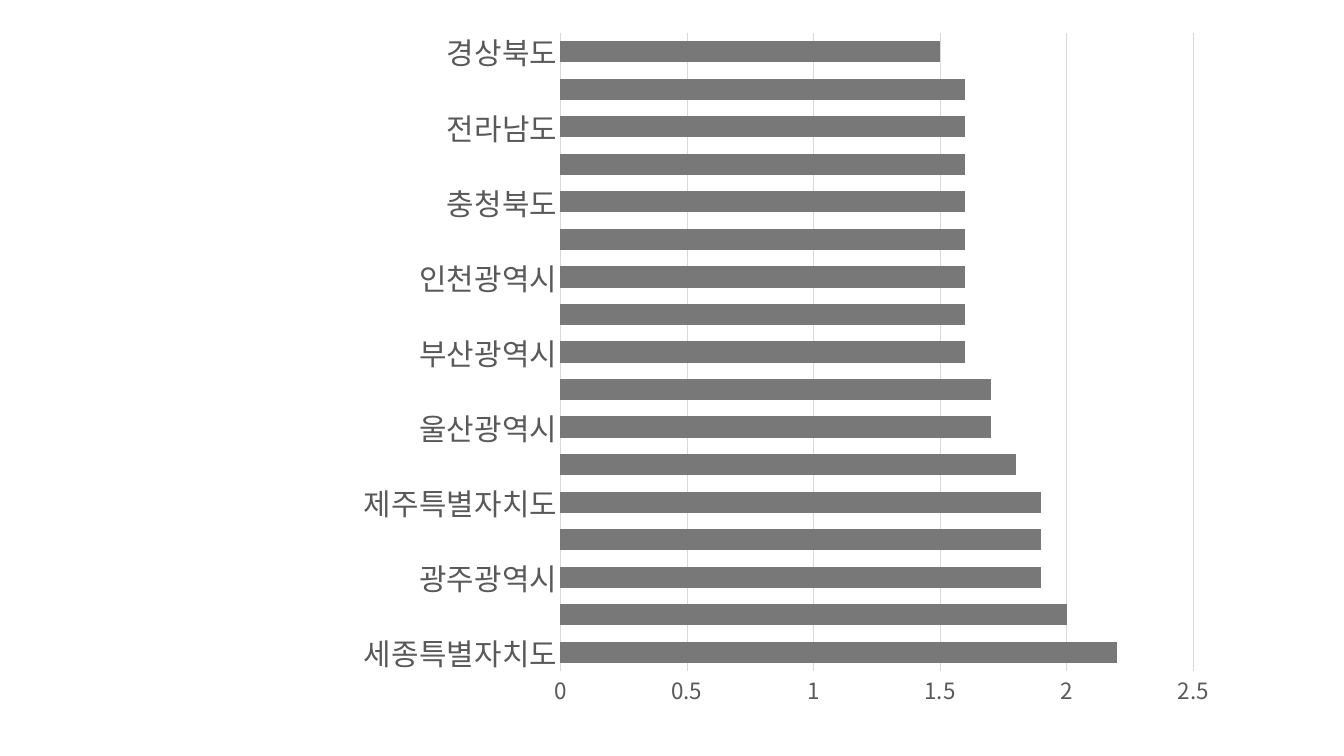
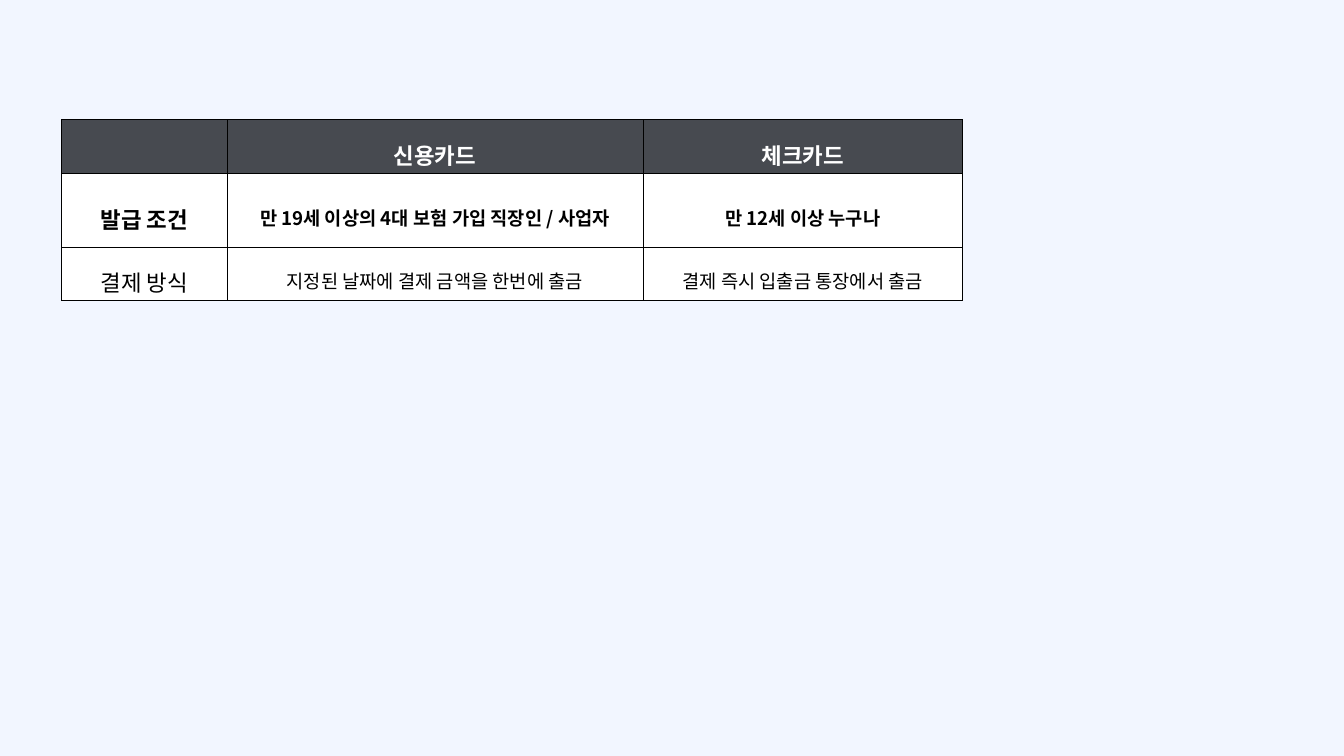
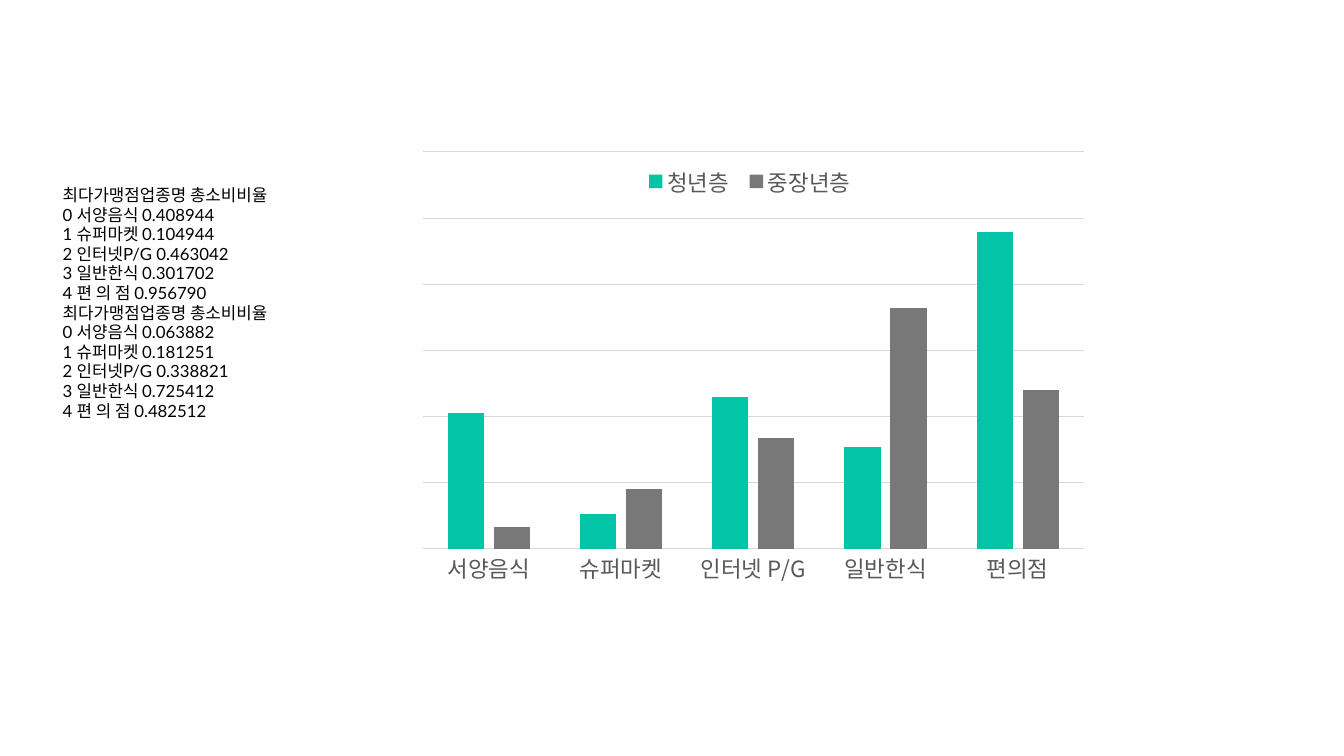
from lxml.etree import SubElement
from pptx import Presentation
from pptx.chart.data import CategoryChartData
from pptx.dml.color import RGBColor
from pptx.enum.chart import XL_CHART_TYPE as Kind, XL_LEGEND_POSITION as Legend, XL_TICK_MARK as Tick
from pptx.enum.text import MSO_ANCHOR, MSO_AUTO_SIZE, PP_ALIGN
from pptx.oxml import parse_xml
from pptx.oxml.ns import nsdecls, qn
from pptx.util import Pt

COLORS = {
    "white": "FFFFFF", "black": "000000", "pale": "F2F6FF", "header": "474A50",
    "label": "595959", "grid": "D9D9D9", "gray": "787878", "teal": "02C4A6",
}
CJK = "Noto Sans CJK KR"


def rgb(name):
    return RGBColor.from_string(COLORS[name])


def manual_layout(x, y, w, h, inner=False):
    target = '<c:layoutTarget val="inner"/>' if inner else ""
    sizes = "".join(f'<c:{key} val="{val}"/>' for key, val in zip("xywh", (x, y, w, h)))
    return parse_xml(
        f'<c:layout {nsdecls("c")}><c:manualLayout>{target}'
        f'<c:xMode val="edge"/><c:yMode val="edge"/>{sizes}'
        "</c:manualLayout></c:layout>")


class Deck:
    """Holds the shared style and the current slide."""

    def __init__(self):
        self.prs = Presentation()
        self.prs.slide_width, self.prs.slide_height = Pt(1440), Pt(810)

    def slide(self, background="white"):
        self.s = self.prs.slides.add_slide(self.prs.slide_layouts[6])
        fill = self.s.background.fill
        fill.solid()
        fill.fore_color.rgb = rgb(background)

    def style(self, font, size, color="black", bold=None, name=CJK):
        font.name, font.size, font.bold = name, Pt(size), bold
        font.color.rgb = rgb(color)

    def style_runs(self, p, *args, **kwargs):
        """Style the runs, with the Korean font for Korean text."""
        for r in p.runs:
            self.style(r.font, *args, **kwargs)
            SubElement(r._r.get_or_add_rPr(), qn("a:ea"), typeface=CJK)

    def grid_line(self, line):
        line.color.rgb = rgb("grid")
        line.width = Pt(0.75)

    def chart(self, kind, box, cats, series, label_size, top, step, gap, overlap=0):
        """Bar chart; series is a list of (name, values, color)."""
        data = CategoryChartData()
        data.categories = cats
        for name, values, _ in series:
            data.add_series(name, values)
        chart = self.s.shapes.add_chart(kind, *map(Pt, box), data).chart
        chart.has_title = chart.has_legend = False
        self.style(chart.font, 10, name="Calibri")

        plot = chart.plots[0]
        plot.gap_width, plot.overlap, plot.vary_by_categories = gap, overlap, False
        for ser, (_, _, color) in zip(plot.series, series):
            ser.format.fill.solid()
            ser.format.fill.fore_color.rgb = rgb(color)

        cat, val = chart.category_axis, chart.value_axis
        for axis in (cat, val):
            axis.major_tick_mark = axis.minor_tick_mark = Tick.NONE
        self.style(cat.tick_labels.font, label_size, "label")
        self.grid_line(cat.format.line)
        val.minimum_scale, val.maximum_scale, val.major_unit = 0, top, step
        val.has_major_gridlines = True
        self.grid_line(val.major_gridlines.format.line)
        self.style(val.tick_labels.font, 24, "label")
        val.format.line.fill.background()
        return chart

    def place_plot(self, chart, *area):
        plot_area = chart._chartSpace.chart.plotArea
        for old in plot_area.findall(qn("c:layout")):
            plot_area.remove(old)
        plot_area.insert(0, manual_layout(*area, inner=True))

    def legend(self, chart, *area):
        chart.has_legend = True
        legend = chart.legend
        legend.position, legend.include_in_layout = Legend.TOP, True
        self.style(legend.font, 24, "label")
        for old in legend._element.findall(qn("c:layout")):
            legend._element.remove(old)
        legend._element.find(qn("c:legendPos")).addnext(manual_layout(*area))

    def border(self, cell):
        props = cell._tc.get_or_add_tcPr()
        for side in ("lnL", "lnR", "lnT", "lnB"):
            ln = SubElement(props, qn(f"a:{side}"), w=str(Pt(0.6)))
            SubElement(SubElement(ln, qn("a:solidFill")), qn("a:srgbClr"), val=COLORS["black"])

    def cell(self, cell, text, fill, size, color, bold):
        cell.margin_left = cell.margin_right = Pt(5)
        cell.margin_top = cell.margin_bottom = Pt(2.5)
        cell.vertical_anchor = MSO_ANCHOR.MIDDLE
        self.border(cell)
        cell.fill.solid()
        cell.fill.fore_color.rgb = rgb(fill)
        p = cell.text_frame.paragraphs[0]
        p.text = text
        p.alignment, p.line_spacing = PP_ALIGN.CENTER, 1.5
        self.style_runs(p, size, color, bold)

    def table(self, left, top, widths, heights, rows):
        """Table with a dark header row and a bold first body row."""
        table = self.s.shapes.add_table(
            len(rows), len(widths), Pt(left), Pt(top), Pt(sum(widths)), Pt(sum(heights))).table
        table.first_row = table.horz_banding = False
        for col, width in zip(table.columns, widths):
            col.width = Pt(width)
        for i, (height, texts) in enumerate(zip(heights, rows)):
            table.rows[i].height = Pt(height)
            fill, color = ("header", "white") if i == 0 else ("white", "black")
            for j, text in enumerate(texts):
                size = 24 if i == 0 or j == 0 else 20
                self.cell(table.cell(i, j), text, fill, size, color, bold=i < 2)

    def text(self, box, lines):
        tf = self.s.shapes.add_textbox(*map(Pt, box)).text_frame
        tf.word_wrap, tf.auto_size = True, MSO_AUTO_SIZE.SHAPE_TO_FIT_TEXT
        tf.text = "\n".join(lines)
        for p in tf.paragraphs:
            p.line_spacing = Pt(21)
            self.style_runs(p, 18, name="Lato")


def main():
    deck = Deck()

    # Values by region
    regions = {
        "세종특별자치도": 2.2, "서울특별시": 2, "광주광역시": 1.9, "경기도": 1.9,
        "제주특별자치도": 1.9, "대전광역시": 1.8, "울산광역시": 1.7, "충청남도": 1.7,
        "부산광역시": 1.6, "대구광역시": 1.6, "인천광역시": 1.6, "강원도": 1.6,
        "충청북도": 1.6, "전라북도": 1.6, "전라남도": 1.6, "경상남도": 1.6, "경상북도": 1.5,
    }
    deck.slide()
    chart = deck.chart(
        Kind.BAR_CLUSTERED, (270.3, -33, 1068, 822), list(regions),
        [("Series 1", list(regions.values()), "gray")],
        label_size=32, top=2.5, step=0.5, gap=77)
    deck.place_plot(chart, 0.309, 0.083, 0.635, 0.832)

    # Credit and debit card comparison
    deck.slide("pale")
    deck.table(66, 128, (177.1, 445.7, 342.7), (58, 79, 57), [
        ("", "신용카드", "체크카드"),
        ("발급 조건", "만 19세 이상의 4대 보험 가입 직장인 / 사업자", "만 12세 이상 누구나"),
        ("결제 방식", "지정된 날짜에 결제 금액을 한번에 출금", "결제 즉시 입출금 통장에서 출금"),
    ])

    # Spending by type of shop and age group, largest bar = 100
    deck.slide()
    chart = deck.chart(
        Kind.COLUMN_CLUSTERED, (438, 153, 738, 482),
        ["서양음식", "슈퍼마켓", "인터넷 P/G", "일반한식", "편의점"],
        [("청년층", (43, 11, 48, 32, 100), "teal"),
         ("중장년층", (7, 19, 35, 76, 50), "gray")],
        label_size=24, top=125.4, step=20.9, gap=138, overlap=-27)
    chart.value_axis.visible = False
    deck.legend(chart, 0.33, 0.05, 0.33, 0.07)

    # Shares behind the chart
    shops = ["서양음식", "슈퍼마켓", "인터넷P/G", "일반한식", "편 의 점"]
    young = ["0.408944", "0.104944", "0.463042", "0.301702", "0.956790"]
    older = ["0.063882", "0.181251", "0.338821", "0.725412", "0.482512"]
    lines = []
    for shares in (young, older):
        lines.append("최다가맹점업종명 총소비비율")
        lines += [f"{i} {shop} {share}" for i, (shop, share) in enumerate(zip(shops, shares))]
    deck.text((60, 195, 282, 262), lines)

    deck.prs.save("out.pptx")


if __name__ == "__main__":
    main()
